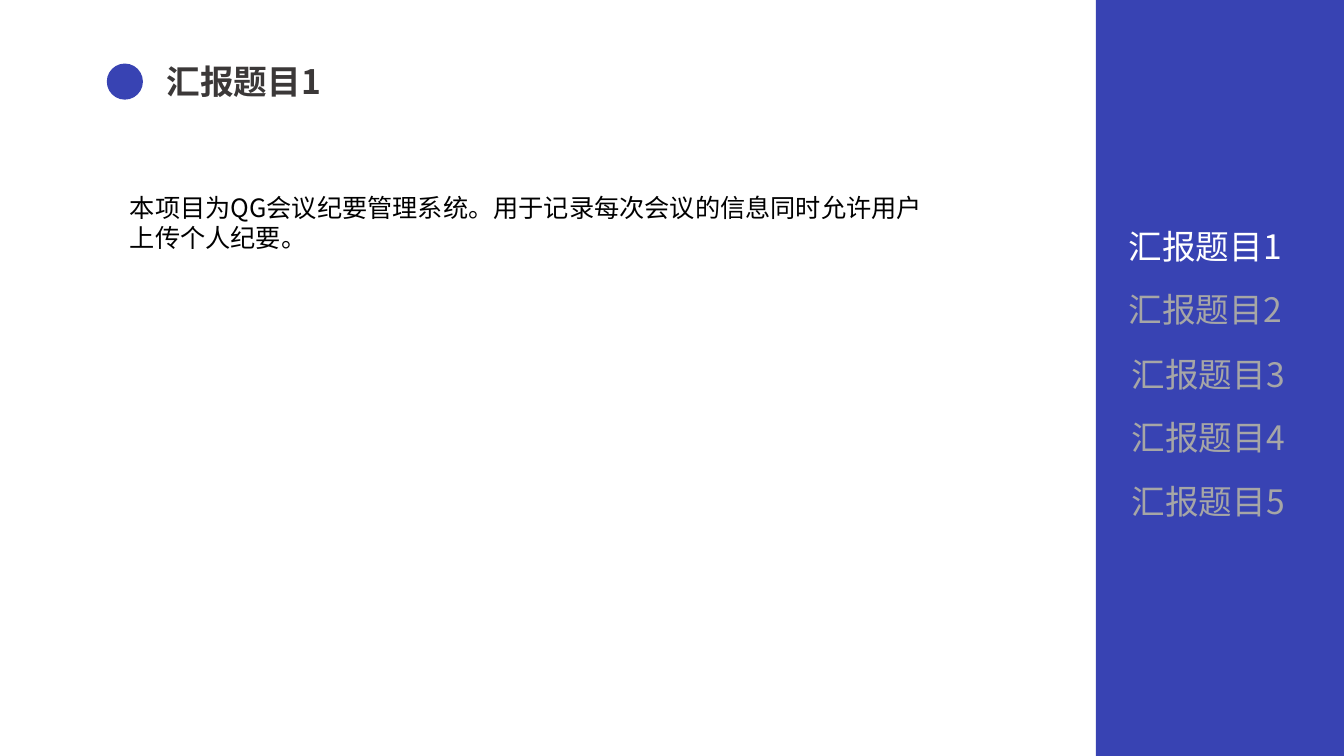
from lxml import etree
from pptx import Presentation
from pptx.dml.color import RGBColor
from pptx.enum import shapes, text
from pptx.oxml.ns import qn
from pptx.util import Pt

FONT = "Noto Sans CJK SC"
COLORS = {
    "accent": "3843B3",
    "heading": "3B3838",
    "active": "FFFFFF",
    "inactive": "A6A6A6",
    "body": "000000",
}
TOPICS = [f"汇报题目{number}" for number in range(1, 6)]
SUMMARY = "本项目为QG会议纪要管理系统。用于记录每次会议的信息同时允许用户上传个人纪要。"
MENU_TOP, MENU_PITCH = 157.5, 45.7


def color(name):
    return RGBColor.from_string(COLORS[name])


def add_solid(page, preset, left, top, width, height):
    """Add an accent-coloured shape without outline or shadow."""
    solid = page.shapes.add_shape(preset, Pt(left), Pt(top), Pt(width), Pt(height))
    solid.shadow.inherit = False
    solid.fill.solid()
    solid.fill.fore_color.rgb = color("accent")
    solid.line.fill.background()


def add_text(page, words, left, top, width, height, tint, size=24, bold=False):
    box = page.shapes.add_textbox(Pt(left), Pt(top), Pt(width), Pt(height))
    frame = box.text_frame
    frame.word_wrap = True
    frame.auto_size = text.MSO_AUTO_SIZE.SHAPE_TO_FIT_TEXT
    span = frame.paragraphs[0].add_run()
    span.text = words
    for key, value in {"name": FONT, "size": Pt(size), "bold": bold}.items():
        setattr(span.font, key, value)
    span.font.color.rgb = color(tint)
    # East Asian characters take their typeface from a separate element.
    etree.SubElement(span.font._element, qn("a:ea"), typeface=FONT)


def add_menu(page, active):
    """List the topics down the sidebar, with the active one highlighted."""
    for row, topic in enumerate(TOPICS):
        left = 799.2 if row < 2 else 801.2
        tint = "active" if row == active else "inactive"
        add_text(page, topic, left, MENU_TOP + row * MENU_PITCH, 140.4, 36.35, tint)


def main():
    deck = Presentation()
    deck.slide_width, deck.slide_height = Pt(960), Pt(540)
    page = deck.slides.add_slide(deck.slide_layouts[6])

    add_solid(page, shapes.MSO_SHAPE.RECTANGLE, 782.8, 0, 177.2, 540)
    add_text(page, TOPICS[0], 112, 40, 209.5, 36.35, "heading", bold=True)
    add_solid(page, shapes.MSO_SHAPE.OVAL, 76.3, 45.4, 25.8, 25.8)
    add_menu(page, active=0)
    add_text(page, SUMMARY, 85.7, 133.9, 586, 50.9, "body", size=18)

    deck.save("out.pptx")


if __name__ == "__main__":
    main()
